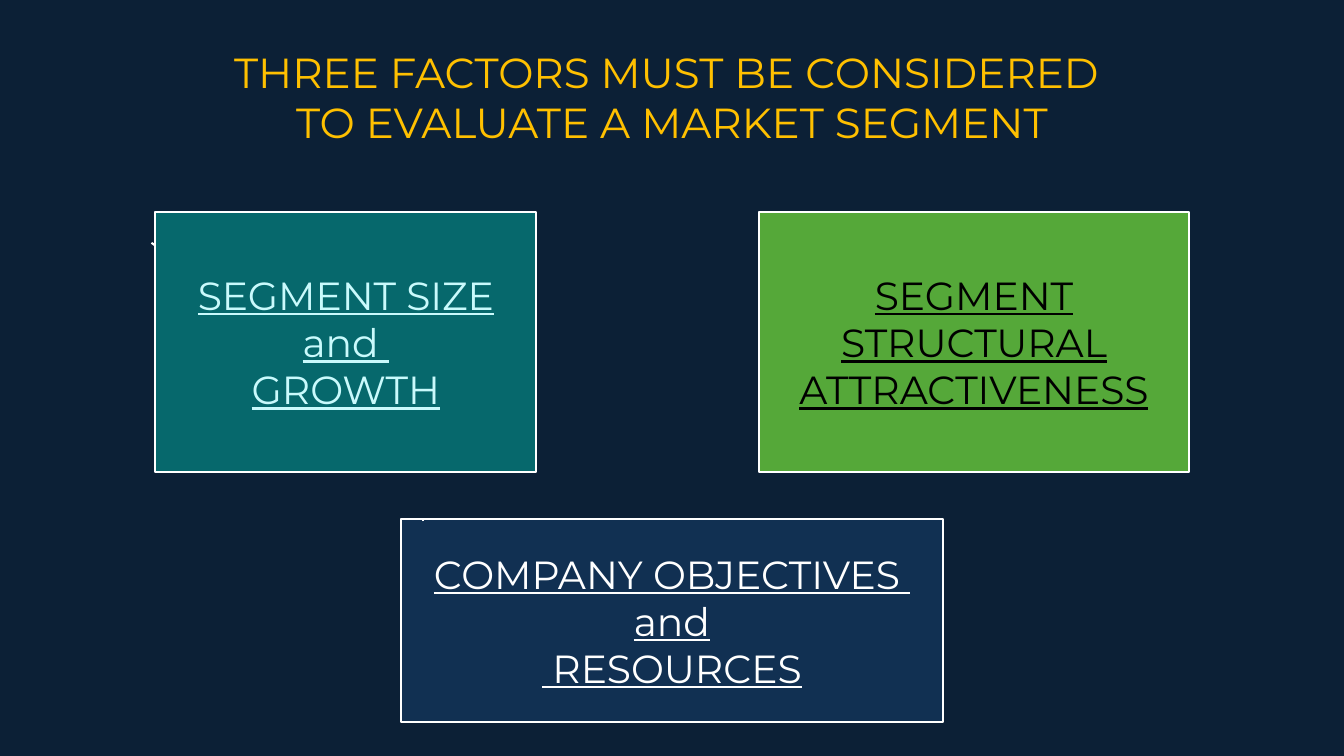
from pptx import Presentation
from pptx.dml.color import RGBColor
from pptx.enum.shapes import MSO_SHAPE as Shape
from pptx.enum.text import MSO_ANCHOR as Anchor, PP_ALIGN as Align
from pptx.util import Inches, Pt

HEX = {
    "navy": "0C2036", "blue": "113052", "teal": "06686C", "green": "55A839",
    "gold": "FFC000", "ice": "C9FAFC", "white": "FFFFFF", "black": "000000",
}


def color(name):
    return RGBColor.from_string(HEX[name])


def write(frame, lines, size, ink, under=None):
    """Fill a text frame with centred lines, one paragraph each."""
    frame.word_wrap = True
    frame.text = "\n".join(lines)
    for para in frame.paragraphs:
        para.alignment = Align.CENTER
        para.font.name = "Montserrat"
        para.font.size = Pt(size)
        para.font.color.rgb = color(ink)
        para.font.underline = under


deck = Presentation()
deck.slide_width, deck.slide_height = Inches(13.33), Inches(7.5)
slide = deck.slides.add_slide(deck.slide_layouts[6])
slide.background.fill.solid()
slide.background.fill.fore_color.rgb = color("navy")

# Factor boxes: kind, adjustments, place, fill, ink, lines
factors = [
    (Shape.RECTANGLE, [], (7.53, 2.1, 4.26, 2.58), "green", "black",
     ["SEGMENT STRUCTURAL ATTRACTIVENESS"]),
    (Shape.LINE_CALLOUT_1, [0.01, 0.04, 0, 0.04], (3.98, 5.15, 5.37, 2.01),
     "blue", "white", ["COMPANY OBJECTIVES ", "and", " RESOURCES"]),
    (Shape.LINE_CALLOUT_1, [0.12, -0.01, 0.13, 0], (1.54, 2.1, 3.78, 2.58),
     "teal", "ice", ["SEGMENT SIZE and ", "GROWTH"]),
]
for kind, tweaks, place, fill, ink, lines in factors:
    box = slide.shapes.add_shape(kind, *map(Inches, place))
    for i, tweak in enumerate(tweaks):
        box.adjustments[i] = tweak
    box.shadow.inherit = False
    box.fill.solid()
    box.fill.fore_color.rgb = color(fill)
    box.line.color.rgb = color("white")
    box.line.width = Pt(1.5)
    box.text_frame.vertical_anchor = Anchor.MIDDLE
    write(box.text_frame, lines, 28, ink, under=True)

title = slide.shapes.add_textbox(*map(Inches, (0.22, 0.41, 12.89, 1.11)))
write(title.text_frame, ["THREE FACTORS MUST BE CONSIDERED ",
                         "TO EVALUATE A MARKET SEGMENT"], 30, "gold")

deck.save("out.pptx")
